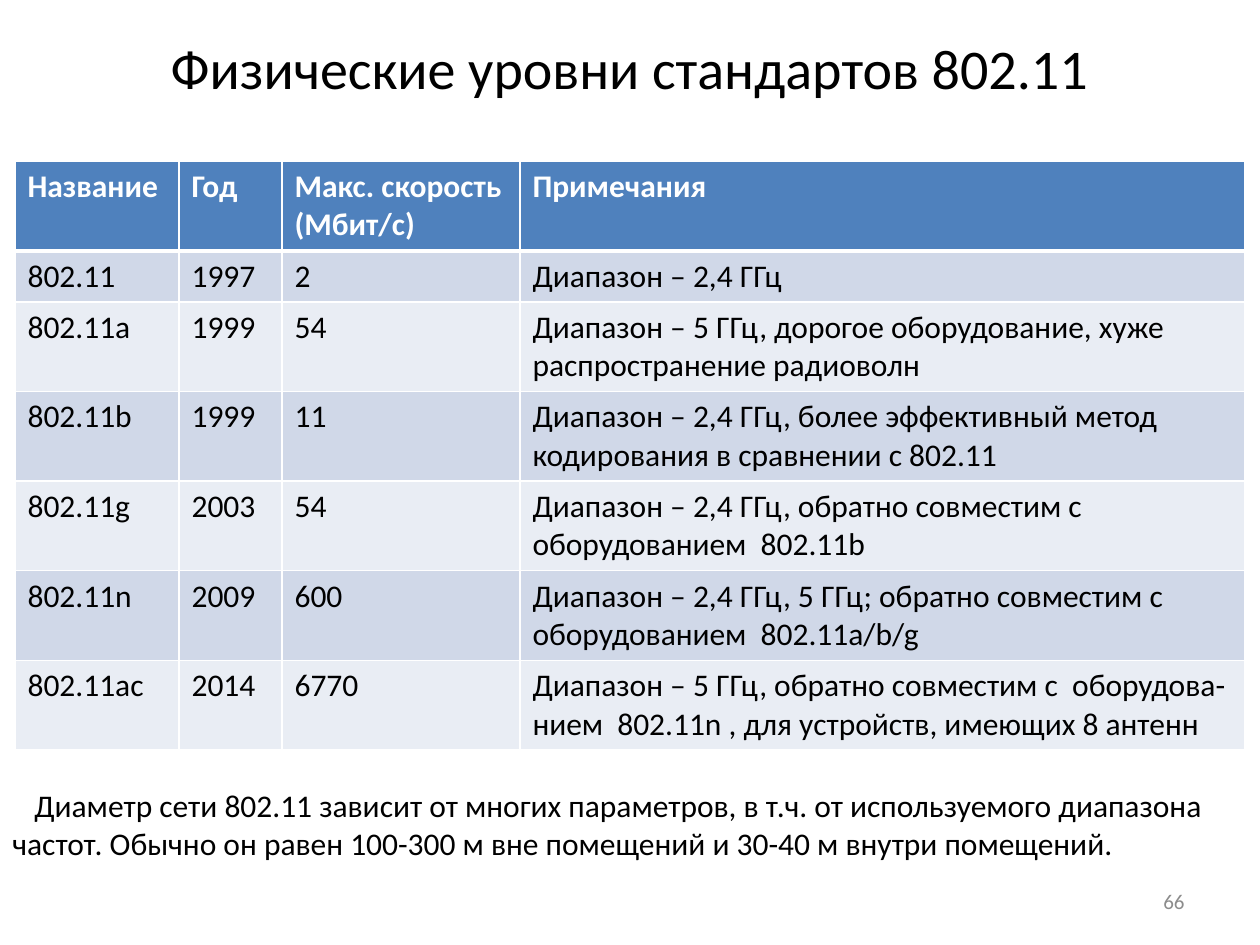
from typing import NamedTuple

from lxml.etree import SubElement
from pptx import Presentation
from pptx.dml.color import RGBColor as RGB
from pptx.enum.text import MSO_ANCHOR as ANCHOR, PP_ALIGN as ALIGN
from pptx.oxml.ns import qn
from pptx.util import Emu, Pt

EMU_PER_PX = 914400 / 126
FONT = "Calibri"
COLORS = {
    "text": "000000",
    "header_text": "FFFFFF",
    "border": "FFFFFF",
    "header": "4F81BD",
    "odd": "D0D8E8",
    "even": "E9EDF4",
    "number": "8C8C8C",
}


class Box(NamedTuple):
    left: int
    top: int
    width: int
    height: int


class Standard(NamedTuple):
    name: str
    year: str
    speed: str
    notes: str


HEADER = Standard("Название", "Год", "Макс. скорость (Мбит/с)", "Примечания")
STANDARDS = [
    Standard("802.11", "1997", "2", "Диапазон – 2,4 ГГц"),
    Standard("802.11а", "1999", "54",
             "Диапазон – 5 ГГц, дорогое оборудование, хуже распространение радиоволн"),
    Standard("802.11b", "1999", "11",
             "Диапазон – 2,4 ГГц, более эффективный метод кодирования в сравнении с 802.11"),
    Standard("802.11g", "2003", "54",
             "Диапазон – 2,4 ГГц, обратно совместим с оборудованием  802.11b"),
    Standard("802.11n", "2009", "600",
             "Диапазон – 2,4 ГГц, 5 ГГц; обратно совместим с оборудованием  802.11a/b/g"),
    Standard("802.11ac", "2014", "6770",
             "Диапазон – 5 ГГц, обратно совместим с  оборудова-нием  802.11n , "
             "для устройств, имеющих 8 антенн"),
]
COLUMN_WIDTHS = [164, 103, 238, 725]
ROW_HEIGHTS = [90, 51] + [89] * 5


def px(value: int) -> Emu:
    return Emu(round(value * EMU_PER_PX))


def write(tf, text: str, *, size=18, color="text", bold=False,
          align=ALIGN.LEFT, anchor=ANCHOR.TOP, indent=0) -> None:
    tf.word_wrap = True
    tf.vertical_anchor = anchor
    p = tf.paragraphs[0]
    p.alignment = align
    if indent:
        p._p.get_or_add_pPr().set("indent", str(px(indent)))
    r = p.add_run()
    r.text = text
    r.font.name = FONT
    r.font.size = Pt(size)
    r.font.bold = bold
    r.font.color.rgb = RGB.from_string(COLORS[color])


def add_text(s, box: Box, text: str, **fmt) -> None:
    sp = s.shapes.add_textbox(*map(px, box))
    write(sp.text_frame, text, **fmt)


def set_borders(cell, bottom: int) -> None:
    tc_pr = cell._tc.get_or_add_tcPr()
    for side, width in zip("LRTB", (1, 1, 1, bottom)):
        ln = SubElement(tc_pr, qn(f"a:ln{side}"), w=str(Pt(width)))
        fill = SubElement(ln, qn("a:solidFill"))
        SubElement(fill, qn("a:srgbClr"), val=COLORS["border"])


def add_standards_table(s, left: int, top: int) -> None:
    rows = [HEADER, *STANDARDS]
    box = Box(left, top, sum(COLUMN_WIDTHS), sum(ROW_HEIGHTS))
    table = s.shapes.add_table(len(rows), len(COLUMN_WIDTHS), *map(px, box)).table
    for column, width in zip(table.columns, COLUMN_WIDTHS):
        column.width = px(width)
    for i, (standard, height) in enumerate(zip(rows, ROW_HEIGHTS)):
        table.rows[i].height = px(height)
        is_header = i == 0
        fill = "header" if is_header else "odd" if i % 2 else "even"
        for j, text in enumerate(standard):
            cell = table.cell(i, j)
            set_borders(cell, bottom=3 if is_header or i == 0 else 1)
            cell.fill.solid()
            cell.fill.fore_color.rgb = RGB.from_string(COLORS[fill])
            p = cell.text_frame.paragraphs[0]
            r = p.add_run()
            r.text = text
            r.font.name = FONT
            r.font.size = Pt(18)
            r.font.bold = is_header
            r.font.color.rgb = RGB.from_string(
                COLORS["header_text" if is_header else "text"])


def main() -> None:
    prs = Presentation()
    prs.slide_width, prs.slide_height = px(1260), px(945)
    s = prs.slides.add_slide(prs.slide_layouts[5])

    title = s.shapes.title
    title.left, title.top, title.width, title.height = map(px, Box(63, 24, 1134, 87))
    write(title.text_frame, "Физические уровни стандартов 802.11",
          size=32, align=ALIGN.CENTER, anchor=ANCHOR.MIDDLE)

    add_standards_table(s, left=15, top=161)
    add_text(s, Box(0, 780, 1260, 89),
             "Диаметр сети 802.11 зависит от многих параметров, в т.ч. от используемого "
             "диапазона частот. Обычно он равен 100-300 м вне помещений и 30-40 м "
             "внутри помещений.", indent=22)
    add_text(s, Box(903, 876, 294, 50), "66", size=12, color="number",
             align=ALIGN.RIGHT, anchor=ANCHOR.MIDDLE)

    prs.save("out.pptx")


if __name__ == "__main__":
    main()
